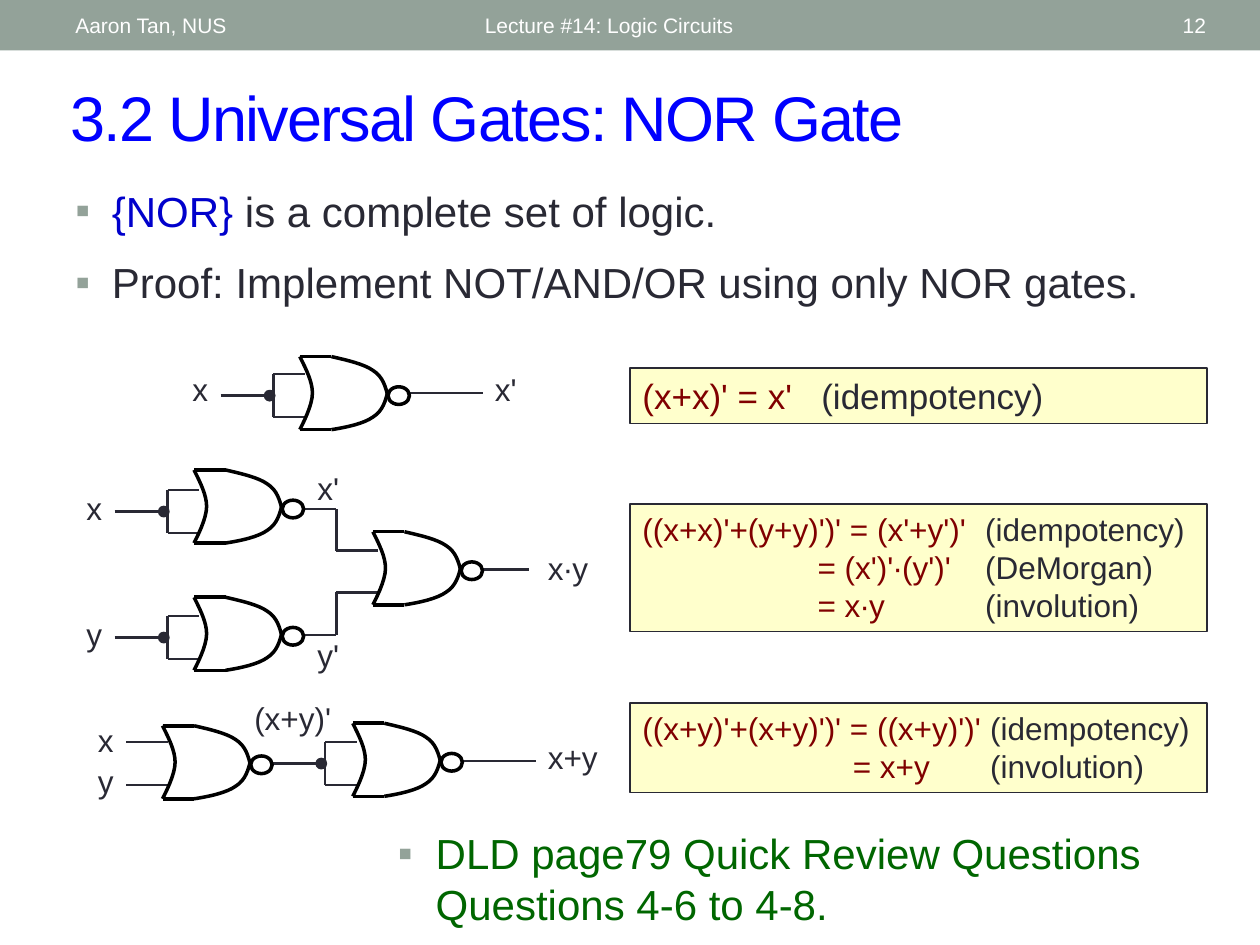
"""Build the lecture slide that shows NOR as a universal gate."""
from typing import NamedTuple

from lxml import etree
from pptx import Presentation
from pptx.dml.color import RGBColor
from pptx.enum.shapes import MSO_CONNECTOR, MSO_SHAPE
from pptx.enum.text import MSO_ANCHOR, PP_ALIGN
from pptx.oxml.ns import qn
from pptx.util import Inches, Pt

STRAIGHT = MSO_CONNECTOR.STRAIGHT
RECTANGLE, OVAL = MSO_SHAPE.RECTANGLE, MSO_SHAPE.OVAL
TOP, MIDDLE = MSO_ANCHOR.TOP, MSO_ANCHOR.MIDDLE
LEFT, RIGHT = PP_ALIGN.LEFT, PP_ALIGN.RIGHT

FONT = "Arial"
SAGE = RGBColor(0x93, 0xA2, 0x99)
WHITE = RGBColor(0xFF, 0xFF, 0xFF)
BLACK = RGBColor(0x00, 0x00, 0x00)
INK = RGBColor(0x29, 0x29, 0x34)
BLUE = RGBColor(0x00, 0x00, 0xFF)
NAVY = RGBColor(0x00, 0x00, 0xCC)
GREEN = RGBColor(0x00, 0x66, 0x00)
MAROON = RGBColor(0x80, 0x00, 0x00)
CREAM = RGBColor(0xFF, 0xFF, 0xCC)


class Span(NamedTuple):
    text: str
    color: RGBColor


class Place(NamedTuple):
    left: float
    top: float
    width: float
    height: float


class Point(NamedTuple):
    x: float
    y: float


class Label(NamedTuple):
    text: str
    place: Place
    align: PP_ALIGN = LEFT


class Proof(NamedTuple):
    place: Place
    size: float
    stops: tuple
    rows: list


GATE_CURVES = [
    [(0, 0), (.05, .1), (.1, .2), (.1, .29), (.1, .39), (.02, .54), (0, .58)],
    [(.25, 0), (.38, .03), (.51, .06), (.58, .11), (.66, .16), (.68, .24), (.7, .32)],
    [(.25, .58), (.38, .56), (.51, .53), (.58, .48), (.66, .43), (.68, .35), (.7, .27)],
]
GATES = [Point(2.38, 2.83), Point(2.96, 4.22), Point(1.54, 4.74),
         Point(1.54, 3.73), Point(2.8, 5.74), Point(1.29, 5.76)]
JUNCTIONS = [Point(2.17, 3.14), Point(1.33, 4.06), Point(1.33, 5.06), Point(2.58, 6.06)]
WIRES = [
    [(3.25, 3.12), (3.83, 3.12)],
    [(2.42, 4.04), (2.67, 4.04), (2.67, 4.37), (3, 4.37)],
    [(2.42, 5.04), (2.67, 5.04), (2.67, 4.7), (3, 4.7)],
    [(3.83, 4.52), (4.2, 4.52)],
    [(1, 5.89), (1.33, 5.89)],
    [(1, 6.23), (1.33, 6.23)],
    [(3.67, 6.04), (4.25, 6.04)],
]
LABELS = [
    Label("x", Place(1.42, 2.89, .33, .4), RIGHT),
    Label("x'", Place(3.83, 2.89, .5, .4)),
    Label("x", Place(.58, 3.83, .33, .4), RIGHT),
    Label("y", Place(.58, 4.83, .33, .4), RIGHT),
    Label("x'", Place(2.42, 3.67, .42, .4)),
    Label("y'", Place(2.42, 5, .42, .4)),
    Label("x∙y", Place(4.25, 4.31, .67, .4)),
    Label("x", Place(.67, 5.67, .33, .4), RIGHT),
    Label("y", Place(.67, 6, .33, .4), RIGHT),
    Label("(x+y)'", Place(1.92, 5.5, .83, .4)),
    Label("x+y", Place(4.25, 5.81, .67, .4)),
]
PROOFS = [
    Proof(Place(5, 2.92, 4.58, .44), 20, (1.42,), [("(x+x)' = x'", "\t(idempotency)")]),
    Proof(Place(5, 4, 4.58, 1.01), 18, (1.39, 2.72), [
        ("((x+x)'+(y+y)')' = (x'+y')'", "\t(idempotency)"),
        ("\t= (x')'∙(y')'", "\t(DeMorgan)"),
        ("\t= x∙y", "\t(involution)")]),
    Proof(Place(5, 5.58, 4.58, .71), 18, (1.67, 2.76), [
        ("((x+y)'+(x+y)')' = ((x+y)')'", "\t(idempotency)"),
        ("\t= x+y", "\t(involution)")]),
]


def add_solid(page, kind, place: Place, fill=None, line=None, weight: float = 1):
    shape = page.shapes.add_shape(kind, *map(Inches, place))
    shape.shadow.inherit = False
    if fill is None:
        shape.fill.background()
    else:
        shape.fill.solid()
        shape.fill.fore_color.rgb = fill
    if line is None:
        shape.line.fill.background()
    else:
        shape.line.color.rgb = line
        shape.line.width = Pt(weight)
    return shape


def add_bullet(para, hang: float) -> None:
    props = para._p.get_or_add_pPr()
    props.set("marL", str(Inches(hang)))
    props.set("indent", str(-Inches(hang)))
    color = etree.SubElement(props, qn("a:buClr"))
    etree.SubElement(color, qn("a:srgbClr"), val=str(SAGE))
    etree.SubElement(props, qn("a:buFont"), typeface=FONT)
    etree.SubElement(props, qn("a:buChar"), char="▪")


def add_stops(para, stops: tuple) -> None:
    tabs = etree.SubElement(para._p.get_or_add_pPr(), qn("a:tabLst"))
    for stop in stops:
        etree.SubElement(tabs, qn("a:tab"), pos=str(Inches(stop)), algn="l")


def add_text(page, place: Place, lines: list, *, size: float, box=None, align=LEFT,
             anchor=TOP, gap: float = 0, hang: float = 0, stops: tuple = (),
             tracking: int = 0) -> None:
    box = box or page.shapes.add_textbox(*map(Inches, place))
    frame = box.text_frame
    frame.word_wrap = True
    frame.vertical_anchor = anchor
    for index, spans in enumerate(lines):
        para = frame.add_paragraph() if index else frame.paragraphs[0]
        para.alignment = align
        para.space_before = Pt(gap if index else 0)
        if hang:
            add_bullet(para, hang)
        if stops:
            add_stops(para, stops)
        for span in spans:
            for row, piece in enumerate(span.text.split("\n")):
                if row:
                    para.add_line_break()
                run = para.add_run()
                run.text = piece
                run.font.name = FONT
                run.font.size = Pt(size)
                run.font.color.rgb = span.color
                if tracking:
                    run._r.get_or_add_rPr().set("spc", str(tracking))


def add_line(page, start: tuple, end: tuple, color=INK, weight: float = 1.5) -> None:
    line = page.shapes.add_connector(STRAIGHT, *map(Inches, (*start, *end)))
    line.line.color.rgb = color
    line.line.width = Pt(weight)
    etree.SubElement(line._element.spPr, qn("a:effectLst"))


def add_curve(page, knots: list) -> None:
    builder = page.shapes.build_freeform(*knots[0])
    builder.add_line_segments(knots[1:], close=False)
    curve = builder.convert_to_shape()
    curve.shadow.inherit = False
    curve.fill.background()
    curve.line.color.rgb = BLACK
    curve.line.width = Pt(2)
    segments = list(curve._element.iter(qn("a:lnTo")))
    outline = segments[0].getparent()
    for first in range(0, len(segments), 3):
        bend = etree.SubElement(outline, qn("a:cubicBezTo"))
        for segment in segments[first:first + 3]:
            bend.append(segment[0])
            outline.remove(segment)


def add_gate(page, corner: Point) -> None:
    for curve in GATE_CURVES:
        add_curve(page, [(Inches(corner.x + x), Inches(corner.y + y)) for x, y in curve])
    for y in (corner.y, corner.y + .58):
        add_line(page, (corner.x, y), (corner.x + .25, y), BLACK, 2)
    add_solid(page, OVAL, Place(corner.x + .7, corner.y + .24, .17, .14), line=BLACK, weight=2)


def add_split_input(page, joint: Point) -> None:
    x, y = joint
    add_line(page, (x - .42, y), joint)
    add_line(page, (x, y + .17), (x, y - .17))
    for branch in (y - .17, y + .17):
        add_line(page, (x, branch), (x + .25, branch))
    add_solid(page, OVAL, Place(x - .07, y - .04, .08, .08), INK, INK)


def main() -> None:
    deck = Presentation()
    deck.slide_width, deck.slide_height = Inches(10), Inches(7.5)
    page = deck.slides.add_slide(deck.slide_layouts[6])

    add_solid(page, RECTANGLE, Place(0, 0, 10, .4), SAGE)
    for label in (Label("Aaron Tan, NUS", Place(.5, .02, 3.17, .36)),
                  Label("Lecture #14: Logic Circuits", Place(3.75, .02, 4.5, .36)),
                  Label("12", Place(8.72, .02, .95, .36), RIGHT)):
        add_text(page, label.place, [[Span(label.text, WHITE)]], size=12,
                 align=label.align, anchor=MIDDLE)
    add_text(page, Place(.46, .57, 9.07, .7), [[Span("3.2 Universal Gates: NOR Gate", BLUE)]],
             size=36, anchor=MIDDLE, tracking=-100)
    add_text(page, Place(.5, 1.42, 9, 1.33), [
        [Span("{NOR} ", NAVY), Span("is a complete set of logic.", INK)],
        [Span("Proof: Implement NOT/AND/OR using only NOR gates.", INK)],
    ], size=24, gap=12, hang=.29)

    for proof in PROOFS:
        box = add_solid(page, RECTANGLE, proof.place, CREAM, INK, .75)
        lines = [[Span(formula, MAROON), Span(law, INK)] for formula, law in proof.rows]
        add_text(page, proof.place, lines, size=proof.size, box=box, stops=proof.stops)

    for wire in WIRES:
        for start, end in zip(wire, wire[1:]):
            add_line(page, start, end)
    for joint in JUNCTIONS:
        add_split_input(page, joint)
    for corner in GATES:
        add_gate(page, corner)
    for label in LABELS:
        add_text(page, label.place, [[Span(label.text, INK)]], size=18, align=label.align)

    review = "DLD page79 Quick Review Questions\nQuestions 4-6 to 4-8."
    add_text(page, Place(3.06, 6.52, 6.7, .9), [[Span(review, GREEN)]], size=24, hang=.3)
    deck.save("out.pptx")


if __name__ == "__main__":
    main()
